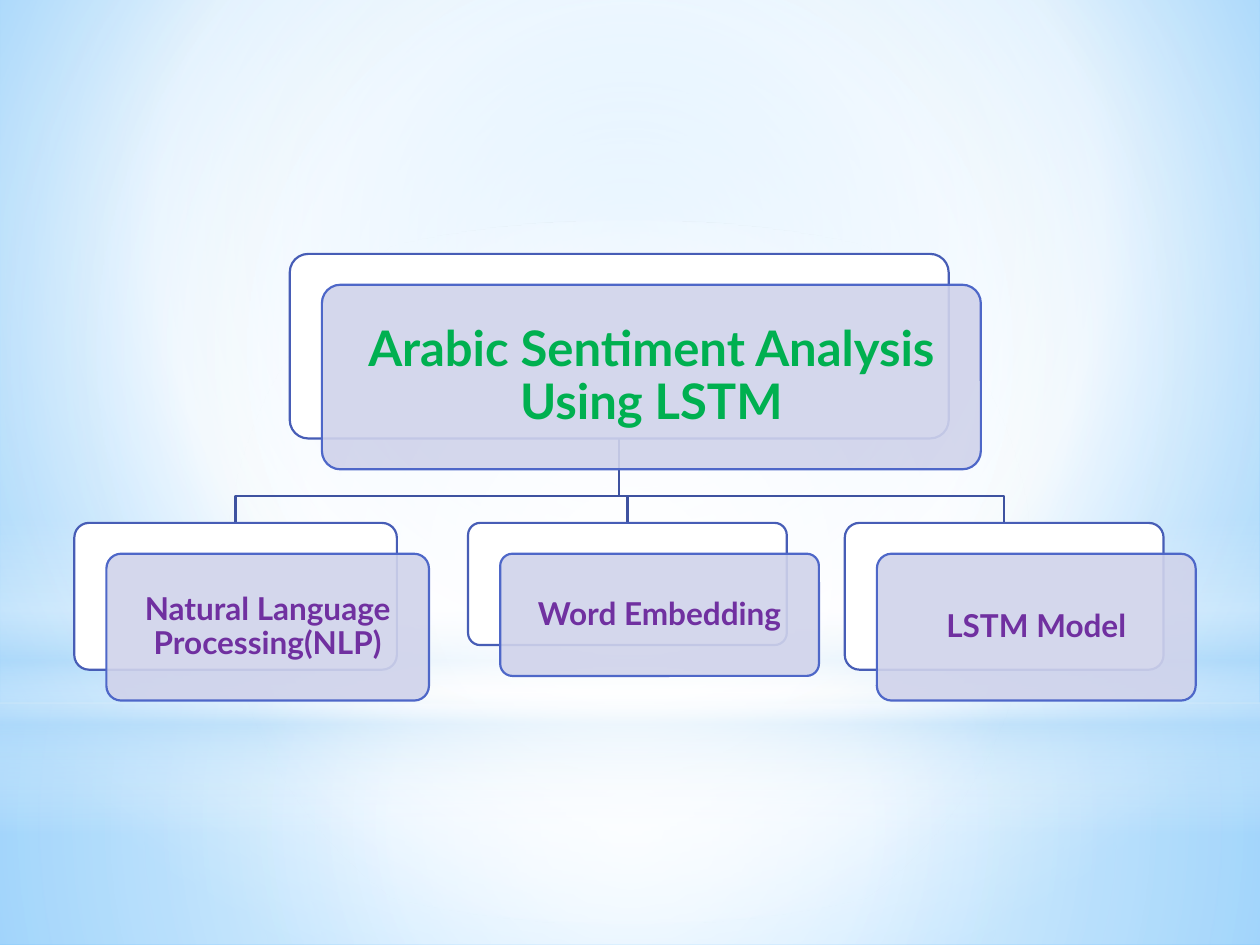
from dataclasses import dataclass

from pptx import Presentation
from pptx.dml.color import RGBColor
from pptx.enum.shapes import MSO_SHAPE
from pptx.enum.text import MSO_ANCHOR, PP_ALIGN
from pptx.oxml import parse_xml
from pptx.oxml.ns import nsdecls, qn
from pptx.util import Inches, Pt

RECTANGLE, OVAL, ROUNDED = MSO_SHAPE.RECTANGLE, MSO_SHAPE.OVAL, MSO_SHAPE.ROUNDED_RECTANGLE
MIDDLE, CENTER = MSO_ANCHOR.MIDDLE, PP_ALIGN.CENTER
COLUMNS, ROWS = 100, 75


@dataclass(frozen=True)
class Theme:
    """Colours, type sizes and line widths of the slide."""
    white: str = "FFFFFF"
    sky: str = "B4DCFA"
    sky_light: str = "9ED5FF"
    sky_deep: str = "5BB9FF"
    connector: str = "3E52A0"
    back_line: str = "475DB6"
    front_line: str = "4E67C8"
    front_fill: str = "D0D3EB"
    title_text: str = "00B050"
    branch_text: str = "7030A0"
    font: str = "Lato"
    title_size: int = 28
    branch_size: int = 18
    line_width: float = 1.25


class TreeSlide:
    """A slide on a fine grid that holds a tree of layered cards."""

    card_shift = (2.55, 2.45)

    def __init__(self, presentation, theme):
        """Add a blank slide and work out the grid cell."""
        self.theme = theme
        self.slide = presentation.slides.add_slide(presentation.slide_layouts[6])
        self.column = presentation.slide_width / COLUMNS
        self.row = presentation.slide_height / ROWS

    def place(self, left, top, width, height):
        """Turn a grid box into slide lengths."""
        return (round(left * self.column), round(top * self.row),
                round(width * self.column), round(height * self.row))

    def gradient(self, owner, stops, center=None):
        """Fill a shape or background with stops of position, colour and opacity."""
        marks = "".join(
            f'<a:gs pos="{position * 1000}"><a:srgbClr val="{color}">'
            f'<a:alpha val="{opacity * 1000}"/></a:srgbClr></a:gs>'
            for position, color, opacity in stops)
        course = '<a:lin ang="5400000" scaled="0"/>'
        if center:
            sides = " ".join(f'{side}="{share * 1000}"' for side, share in zip("ltrb", center))
            course = f'<a:path path="circle"><a:fillToRect {sides}/></a:path>'
        element = owner.element.find(".//" + qn("a:gradFill"))
        element.getparent().replace(element, parse_xml(
            f'<a:gradFill {nsdecls("a")} rotWithShape="1"><a:gsLst>{marks}</a:gsLst>'
            f'{course}</a:gradFill>'))

    def background(self, stops, center):
        """Fill the slide background with a gradient."""
        self.slide.background.fill.gradient()
        self.gradient(self.slide, stops, center)

    def glow(self, kind, box, stops, center=None):
        """Add a borderless translucent gradient shape."""
        shape = self.slide.shapes.add_shape(kind, *self.place(*box))
        shape.shadow.inherit = False
        shape.line.fill.background()
        shape.fill.gradient()
        self.gradient(shape, stops, center)

    def outline(self, shape, color):
        """Give a shape its line and no shadow."""
        shape.shadow.inherit = False
        shape.line.color.rgb = RGBColor.from_string(color)
        shape.line.width = Pt(self.theme.line_width)

    def branch_line(self, points):
        """Draw an open bent line through grid points."""
        start, *others = [(round(x * self.column), round(y * self.row)) for x, y in points]
        builder = self.slide.shapes.build_freeform(*start)
        builder.add_line_segments(others, close=False)
        shape = builder.convert_to_shape()
        shape.fill.background()
        self.outline(shape, self.theme.connector)

    def panel(self, box, fill, line, opacity=100):
        """Add one rounded panel and return it."""
        shape = self.slide.shapes.add_shape(ROUNDED, *self.place(*box))
        shape.adjustments[0] = 0.1
        shape.fill.solid()
        shape.fill.fore_color.rgb = RGBColor.from_string(fill)
        if opacity < 100:
            color = shape.element.spPr.find(".//" + qn("a:srgbClr"))
            color.append(parse_xml(f'<a:alpha {nsdecls("a")} val="{opacity * 1000}"/>'))
        self.outline(shape, line)
        return shape

    def card(self, box, text, size, color, inset):
        """Add a white panel with a shifted, captioned panel over it."""
        theme = self.theme
        left, top, width, height = box
        self.panel(box, theme.white, theme.back_line)
        right_shift, down_shift = self.card_shift
        front = self.panel((left + right_shift, top + down_shift, width, height),
                           theme.front_fill, theme.front_line, 90)
        frame = front.text_frame
        margin = round(inset * self.column)
        paragraph = frame.paragraphs[0]
        run = paragraph.add_run()
        run.text = text
        sides = ("left", "top", "right", "bottom")
        formats = (
            (frame, {"word_wrap": True, "vertical_anchor": MIDDLE,
                     **{f"margin_{side}": margin for side in sides}}),
            (paragraph, {"alignment": CENTER, "line_spacing": 0.9}),
            (run.font, {"name": theme.font, "size": Pt(size), "bold": True}),
        )
        for target, values in formats:
            for name, value in values.items():
                setattr(target, name, value)
        run.font.color.rgb = RGBColor.from_string(color)


def main():
    """Build the slide and save it."""
    presentation = Presentation()
    presentation.slide_width, presentation.slide_height = Inches(10), Inches(7.5)
    theme = Theme()
    tree = TreeSlide(presentation, theme)
    white, sky = theme.white, theme.sky
    middle = (50, 50, 50, 50)

    tree.background([(0, theme.sky_light, 100), (60, white, 100), (100, theme.sky_deep, 100)],
                    (20, 10, 20, 60))
    tree.glow(RECTANGLE, (0, 55.8, COLUMNS, 19.2),
              [(0, white, 91), (37, white, 76), (100, sky, 79)], middle)
    tree.glow(RECTANGLE, (0, 0, COLUMNS, 55.8),
              [(0, white, 89), (48, white, 62), (100, sky, 79)], middle)
    tree.glow(RECTANGLE, (0, 41.2, COLUMNS, 25),
              [(0, white, 0), (29, white, 30), (45, sky, 40),
               (55, white, 26), (65, sky, 60), (100, white, 0)])
    tree.glow(OVAL, (0, 17.5, COLUMNS, 55.8), [(0, white, 100), (56, white, 0)], middle)

    title_box = (23, 20.15, 52.3, 14.65)
    stem = title_box[0] + title_box[2] / 2
    title_bottom = title_box[1] + title_box[3]
    fork, branch_top = 39.4, 41.5
    branches = (
        ("Natural Language Processing(NLP)", 5.9, 25.6, 11.65),
        ("Word Embedding", 37.15, 25.3, 9.7),
        ("LSTM Model", 67.05, 25.3, 11.65),
    )
    for _, left, width, _ in reversed(branches):
        center = left + width / 2
        tree.branch_line([(stem, title_bottom), (stem, fork),
                          (center, fork), (center, branch_top)])
    tree.card(title_box, "Arabic Sentiment Analysis Using LSTM",
              theme.title_size, theme.title_text, 1.7)
    for text, left, width, height in branches:
        tree.card((left, branch_top, width, height), text,
                  theme.branch_size, theme.branch_text, 1.05)
    presentation.save("out.pptx")


if __name__ == "__main__":
    main()
